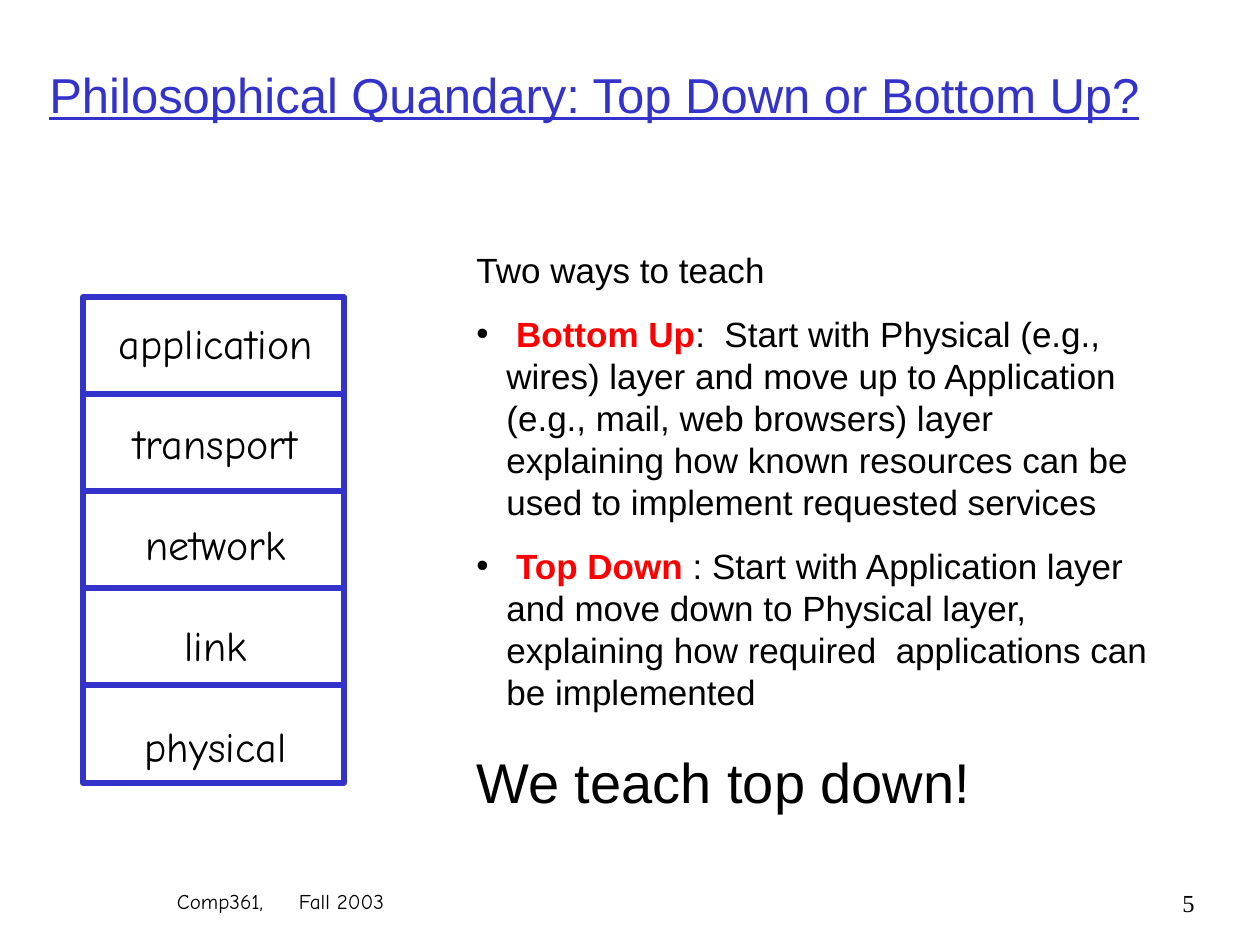
import pptx
import pptx.util
import pptx.dml.color
import pptx.enum.shapes
import pptx.enum.text
import pptx.oxml.ns
from lxml import etree

Pt = pptx.util.Pt
RGB = pptx.dml.color.RGBColor
Align = pptx.enum.text.PP_ALIGN
Anchor = pptx.enum.text.MSO_ANCHOR
qn = pptx.oxml.ns.qn

BLUE = RGB(0x33, 0x33, 0xCC)
RED = RGB(0xFF, 0x00, 0x00)
BLACK = RGB(0x00, 0x00, 0x00)
WHITE = RGB(0xFF, 0xFF, 0xFF)

SCALE = 914400 // 126
LAYERS = ["application", "transport", "network", "link", "physical"]
WAYS = [
    ("Bottom Up", ":  Start with Physical (e.g., wires) layer and move up to "
     "Application (e.g., mail, web browsers) layer explaining how known "
     "resources can be used to implement requested services"),
    ("Top Down", " : Start with Application layer and move down to Physical "
     "layer, explaining how required  applications can be implemented"),
]


def px(num):
    return pptx.util.Emu(num * SCALE)


def add_box(slide, left, top, width, height, wrap=True):
    box = slide.shapes.add_textbox(px(left), px(top), px(width), px(height))
    frame = box.text_frame
    frame.word_wrap = wrap
    return frame


def add_para(frame, first=False, align=Align.LEFT, gap=0):
    para = frame.paragraphs[0] if first else frame.add_paragraph()
    para.alignment = align
    if gap:
        para.space_before = Pt(gap)
    return para


def add_run(para, text, size, face="Arial", color=BLACK, bold=False):
    run = para.add_run()
    run.text = text
    font = run.font
    font.size = Pt(size)
    font.name = face
    font.bold = bold
    font.color.rgb = color
    return run


def set_bullet(para, indent):
    props = para._p.get_or_add_pPr()
    props.set("marL", str(px(indent)))
    props.set("indent", str(-px(indent)))
    etree.SubElement(props, qn("a:buFont")).set("typeface", "Arial")
    etree.SubElement(props, qn("a:buChar")).set("char", "•")


def set_tab(para, pos):
    tabs = etree.SubElement(para._p.get_or_add_pPr(), qn("a:tabLst"))
    tab = etree.SubElement(tabs, qn("a:tab"))
    tab.set("pos", str(px(pos)))
    tab.set("algn", "l")


def add_rule(slide, left, right, y):
    kind = pptx.enum.shapes.MSO_CONNECTOR.STRAIGHT
    rule = slide.shapes.add_connector(kind, px(left), px(y), px(right), px(y))
    rule.line.color.rgb = BLUE
    rule.line.width = Pt(3)
    etree.SubElement(rule._element.spPr, qn("a:effectLst"))


def add_stack(slide, left, top, width, height):
    # Frame of the protocol stack
    kind = pptx.enum.shapes.MSO_SHAPE.RECTANGLE
    rect = slide.shapes.add_shape(kind, px(left), px(top), px(width), px(height))
    rect.shadow.inherit = False
    rect.fill.solid()
    rect.fill.fore_color.rgb = WHITE
    rect.line.color.rgb = BLUE
    rect.line.width = Pt(3)

    # Layer names
    frame = add_box(slide, 106, 311, 219, 466, wrap=False)
    for num, name in enumerate(LAYERS):
        para = add_para(frame, num == 0, Align.CENTER, 28.8 if num else 0)
        add_run(para, name, 24, "Comic Neue")

    # Lines between layers
    count = len(LAYERS)
    for num in range(1, count):
        add_rule(slide, left, left + width, top + height * num // count)


def add_body(slide):
    frame = add_box(slide, 464, 242, 703, 580)
    add_run(add_para(frame, first=True), "Two ways to teach", 20)
    for name, text in WAYS:
        para = add_para(frame, gap=12.5)
        set_bullet(para, 30)
        add_run(para, " ", 20)
        add_run(para, name, 20, color=RED, bold=True)
        add_run(para, text, 20)
    add_run(add_para(frame, gap=20), "We teach top down!", 32)


def main():
    deck = pptx.Presentation()
    deck.slide_width, deck.slide_height = px(1260), px(945)
    slide = deck.slides.add_slide(deck.slide_layouts[6])

    # Title
    frame = add_box(slide, 37, 26, 1143, 136)
    frame.vertical_anchor = Anchor.MIDDLE
    run = add_run(add_para(frame, first=True),
                  "Philosophical Quandary: Top Down or Bottom Up?", 28, color=BLUE)
    run.font.underline = True

    # Content
    add_stack(slide, 83, 297, 261, 486)
    add_body(slide)

    # Footer and slide number
    frame = add_box(slide, 52, 882, 345, 44)
    frame.margin_left = px(125)
    para = add_para(frame, first=True)
    set_tab(para, 122)
    add_run(para, "Comp361,\tFall 2003", 12, "Comic Neue")
    para = add_para(add_box(slide, 1144, 882, 63, 63), True, Align.RIGHT)
    add_run(para, "5", 14, "Times New Roman")

    deck.save("out.pptx")


if __name__ == "__main__":
    main()
